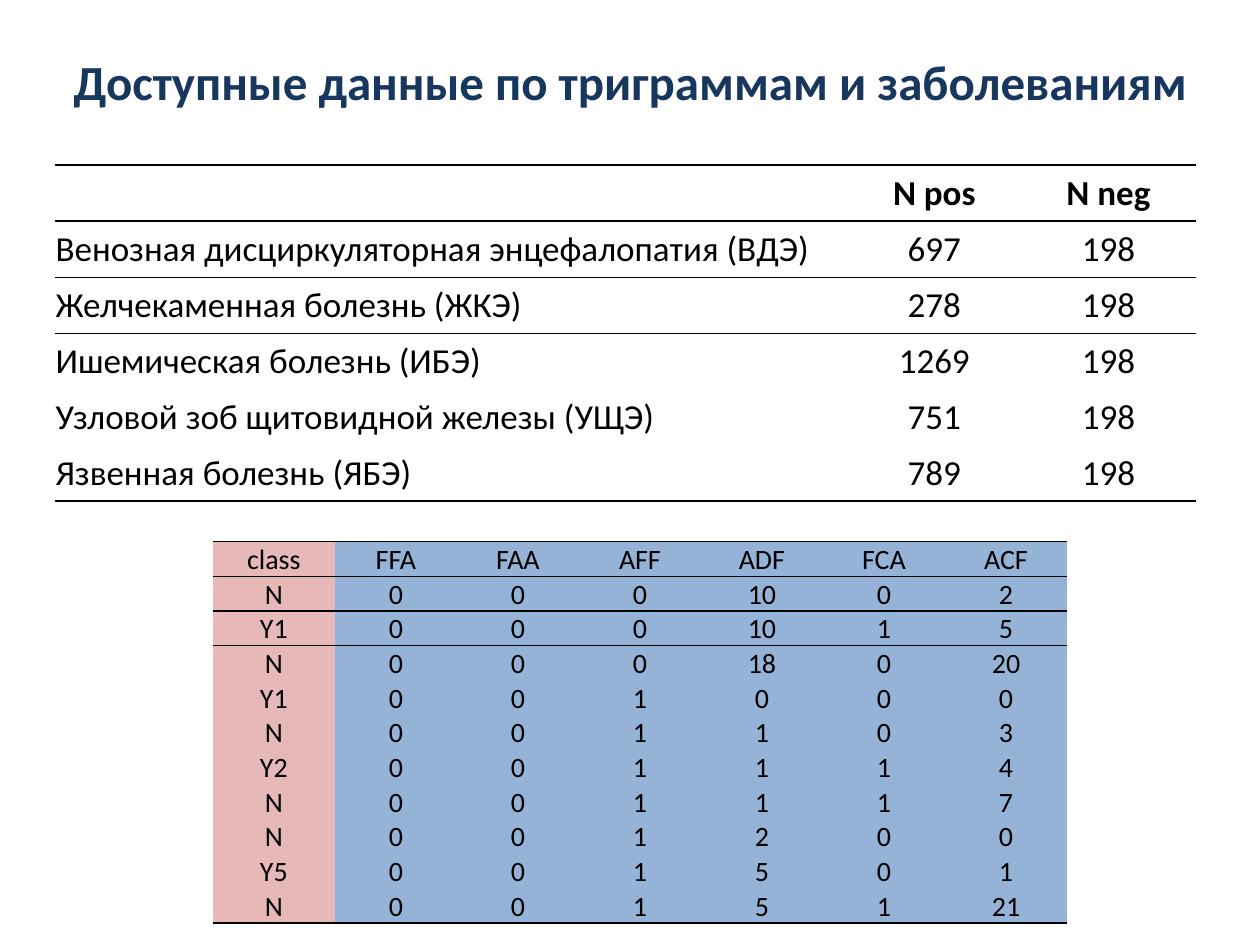
from pptx import Presentation
from pptx.dml.color import RGBColor
from pptx.enum.text import MSO_ANCHOR as Anchor, PP_ALIGN as Align
from pptx.oxml.ns import qn
from pptx.util import Cm, Pt
from lxml.etree import SubElement as Sub

BLACK = RGBColor(0x00, 0x00, 0x00)
NAVY = RGBColor(0x17, 0x37, 0x5E)
ROSE = RGBColor(0xE6, 0xB9, 0xB8)
BLUE = RGBColor(0x95, 0xB3, 0xD7)
FONT = "Calibri"
NO_GRID = "{2D5ABB26-0587-4C30-8999-92F81FD0307C}"

CASES = [
    ("", "N pos", "N neg"),
    ("Венозная дисциркуляторная энцефалопатия (ВДЭ)", 697, 198),
    ("Желчекаменная болезнь (ЖКЭ)", 278, 198),
    ("Ишемическая болезнь (ИБЭ)", 1269, 198),
    ("Узловой зоб щитовидной железы (УЩЭ)", 751, 198),
    ("Язвенная болезнь (ЯБЭ)", 789, 198),
]
GRAMS = [
    ("class", "FFA", "FAA", "AFF", "ADF", "FCA", "ACF"),
    ("N", 0, 0, 0, 10, 0, 2),
    ("Y1", 0, 0, 0, 10, 1, 5),
    ("N", 0, 0, 0, 18, 0, 20),
    ("Y1", 0, 0, 1, 0, 0, 0),
    ("N", 0, 0, 1, 1, 0, 3),
    ("Y2", 0, 0, 1, 1, 1, 4),
    ("N", 0, 0, 1, 1, 1, 7),
    ("N", 0, 0, 1, 2, 0, 0),
    ("Y5", 0, 0, 1, 5, 0, 1),
    ("N", 0, 0, 1, 5, 1, 21),
]


def add_text(frame, text, size, color=BLACK, bold=False, align=Align.CENTER):
    par = frame.paragraphs[0]
    par.alignment = align
    if text:
        run = par.add_run()
        run.text = text
        font = run.font
        font.name, font.size, font.bold = FONT, Pt(size), bold
        font.color.rgb = color


def add_title(slide, text):
    box = slide.shapes.add_textbox(Cm(0.3), Cm(0.76), Cm(24.8), Cm(1.75))
    frame = box.text_frame
    frame.word_wrap = True
    frame.vertical_anchor = Anchor.MIDDLE
    add_text(frame, text, 28, NAVY, bold=True)


def add_rule(cell, side, width):
    line = Sub(cell._tc.get_or_add_tcPr(), qn(f"a:ln{side}"), w=str(Pt(width)))
    fill = Sub(line, qn("a:solidFill"))
    Sub(fill, qn("a:srgbClr"), val=str(BLACK))


def add_grid(slide, data, left, top, widths, height, rules):
    """Add a plain table; rules maps a row edge to its line width."""
    rows, cols = len(data), len(widths)
    frame = slide.shapes.add_table(rows, cols, Cm(left), Cm(top),
                                   Cm(sum(widths)), Cm(height * rows))
    table = frame.table
    table.first_row = table.horz_banding = False
    table._tbl.tblPr.find(qn("a:tableStyleId")).text = NO_GRID
    for col, width in zip(table.columns, widths):
        col.width = Cm(width)
    for num, row in enumerate(table.rows):
        row.height = Cm(height)
        for cell in row.cells:
            cell.margin_left = cell.margin_right = cell.margin_top = Cm(0.02)
            cell.margin_bottom = 0
            for side, edge in (("T", num), ("B", num + 1)):
                if edge in rules:
                    add_rule(cell, side, rules[edge])
    return table


def add_cases(slide):
    rules = {0: 1, 1: 1, 2: 0.5, len(CASES): 1}
    table = add_grid(slide, CASES, 1.1, 3.33, [15.98, 3.51, 3.51], 1.13, rules)
    for r, row in enumerate(CASES):
        for c, value in enumerate(row):
            cell = table.cell(r, c)
            cell.vertical_anchor = Anchor.MIDDLE
            cell.fill.background()
            add_text(cell.text_frame, str(value), 20, bold=r == 0,
                     align=Align.CENTER if c else Align.LEFT)


def add_grams(slide):
    rules = {0: 1, 1: 0.5, 2: 1, len(GRAMS): 1}
    table = add_grid(slide, GRAMS, 4.29, 10.92, [2.46] * 7, 0.7, rules)
    for r, row in enumerate(GRAMS):
        for c, value in enumerate(row):
            cell = table.cell(r, c)
            cell.vertical_anchor = Anchor.BOTTOM
            cell.fill.solid()
            cell.fill.fore_color.rgb = BLUE if c else ROSE
            add_text(cell.text_frame, str(value), 16)


def main():
    deck = Presentation()
    deck.slide_width, deck.slide_height = Cm(25.4), Cm(19.05)
    slide = deck.slides.add_slide(deck.slide_layouts[6])

    # Heading
    add_title(slide, "Доступные данные по триграммам и заболеваниям")
    # Case counts by disease
    add_cases(slide)
    # Trigram counts by class
    add_grams(slide)

    deck.save("out.pptx")


if __name__ == "__main__":
    main()
